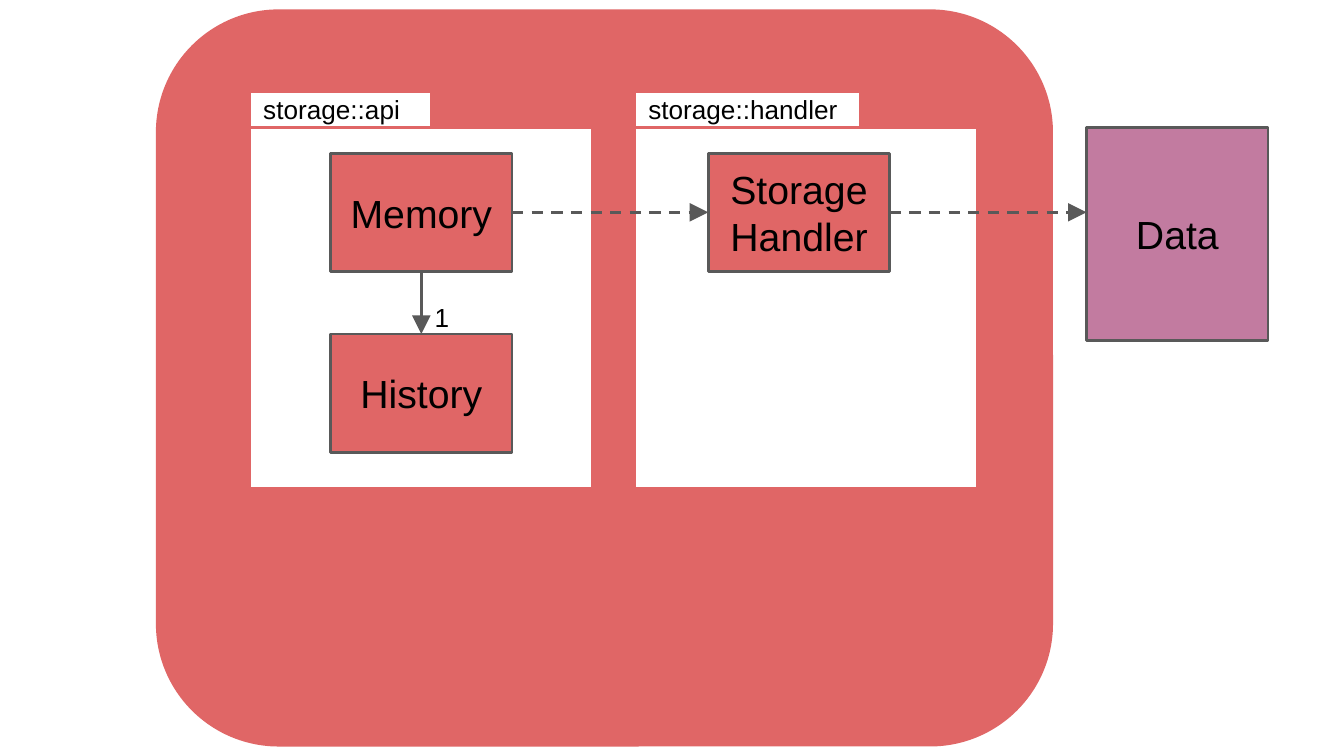
from dataclasses import dataclass

import pptx
import pptx.dml.color
import pptx.enum.dml
import pptx.enum.shapes
import pptx.enum.text
import pptx.oxml
import pptx.oxml.ns
import pptx.util
from pptx.shapes.autoshape import Shape
from pptx.slide import Slide

EMU_PER_PX = 4572
FONT = "Arial"
COLORS = {
    "red": "E06666",
    "purple": "C27BA0",
    "white": "FFFFFF",
    "gray": "595959",
    "black": "000000",
}
PANEL_TOP, PANEL_WIDTH, PANEL_HEIGHT = 190, 510, 537
TAB_HEIGHT = 54
BOX_WIDTH, BOX_HEIGHT = 270, 176
ROW_TOP, HISTORY_TOP = 228, 497
API_LEFT, HANDLER_LEFT, DATA_LEFT = 492, 1054, 1617
API_CENTER = API_LEFT + BOX_WIDTH // 2
ARROW_Y = ROW_TOP + BOX_HEIGHT // 2


@dataclass(frozen=True)
class Package:
    name: str
    left: int
    tab_width: int


@dataclass(frozen=True)
class Box:
    text: str
    left: int
    top: int
    height: int = BOX_HEIGHT
    fill: str = "red"


@dataclass(frozen=True)
class Arrow:
    start: tuple[int, int]
    end: tuple[int, int]
    dashed: bool = False


PACKAGES = [
    Package("storage::api", 372, 270),
    Package("storage::handler", 945, 336),
]
BOXES = [
    Box("Memory", API_LEFT, ROW_TOP),
    Box("History", API_LEFT, HISTORY_TOP),
    Box("Storage\nHandler", HANDLER_LEFT, ROW_TOP),
    Box("Data", DATA_LEFT, PANEL_TOP, 317, "purple"),
]
ARROWS = [
    Arrow((API_CENTER, ROW_TOP + BOX_HEIGHT), (API_CENTER, HISTORY_TOP)),
    Arrow((API_LEFT + BOX_WIDTH, ARROW_Y), (HANDLER_LEFT, ARROW_Y), True),
    Arrow((HANDLER_LEFT + BOX_WIDTH, ARROW_Y), (DATA_LEFT, ARROW_Y), True),
]


def px(length: int) -> pptx.util.Emu:
    return pptx.util.Emu(length * EMU_PER_PX)


def color(name: str) -> pptx.dml.color.RGBColor:
    return pptx.dml.color.RGBColor.from_string(COLORS[name])


def write(shape: Shape, text: str, size: int, centered: bool = False) -> None:
    frame = shape.text_frame
    frame.word_wrap = True
    frame.margin_left = frame.margin_right = px(20)
    frame.margin_top = frame.margin_bottom = px(20)
    frame.text = text
    align = pptx.enum.text.PP_ALIGN
    for paragraph in frame.paragraphs:
        paragraph.alignment = align.CENTER if centered else align.LEFT
        paragraph.font.name = FONT
        paragraph.font.size = pptx.util.Pt(size)
        paragraph.font.color.rgb = color("black")


def add_block(slide: Slide, left: int, top: int, width: int, height: int,
              fill: str, line: str | None = None, rounded: bool = False) -> Shape:
    kinds = pptx.enum.shapes.MSO_SHAPE
    shape = slide.shapes.add_shape(
        kinds.ROUNDED_RECTANGLE if rounded else kinds.RECTANGLE,
        px(left), px(top), px(width), px(height))
    shape.shadow.inherit = False
    shape.fill.solid()
    shape.fill.fore_color.rgb = color(fill)
    if line:
        shape.line.color.rgb = color(line)
        shape.line.width = pptx.util.Pt(1.5)
    else:
        shape.line.fill.background()
    shape.text_frame.vertical_anchor = pptx.enum.text.MSO_ANCHOR.MIDDLE
    return shape


def draw_package(slide: Slide, package: Package) -> None:
    add_block(slide, package.left, PANEL_TOP, PANEL_WIDTH, PANEL_HEIGHT, "white", "red")
    tab = add_block(slide, package.left, PANEL_TOP - TAB_HEIGHT,
                    package.tab_width, TAB_HEIGHT, "white", "red")
    write(tab, package.name, 14)


def draw_box(slide: Slide, box: Box) -> None:
    shape = add_block(slide, box.left, box.top, BOX_WIDTH, box.height, box.fill, "gray")
    write(shape, box.text, 21, centered=True)


def draw_arrow(slide: Slide, arrow: Arrow) -> None:
    connector = slide.shapes.add_connector(
        pptx.enum.shapes.MSO_CONNECTOR.STRAIGHT,
        *map(px, arrow.start), *map(px, arrow.end))
    connector.line.color.rgb = color("gray")
    connector.line.width = pptx.util.Pt(1.5)
    if arrow.dashed:
        connector.line.dash_style = pptx.enum.dml.MSO_LINE.DASH
    head = pptx.oxml.parse_xml(
        f'<a:tailEnd {pptx.oxml.ns.nsdecls("a")} type="triangle" w="lg" len="lg"/>')
    connector.line._get_or_add_ln().append(head)
    properties = connector._element.spPr
    properties.append(pptx.oxml.parse_xml(f'<a:effectLst {pptx.oxml.ns.nsdecls("a")}/>'))


def main() -> None:
    presentation = pptx.Presentation()
    presentation.slide_width = px(2000)
    presentation.slide_height = px(1125)
    slide = presentation.slides.add_slide(presentation.slide_layouts[6])

    add_block(slide, 232, 14, 1335, 1097, "red", rounded=True)
    for package in PACKAGES:
        draw_package(slide, package)
    for box in BOXES:
        draw_box(slide, box)
    for arrow in ARROWS:
        draw_arrow(slide, arrow)
    multiplicity = slide.shapes.add_textbox(px(API_CENTER), px(428), px(1348), px(158))
    write(multiplicity, "1", 14)

    presentation.save("out.pptx")


if __name__ == "__main__":
    main()
